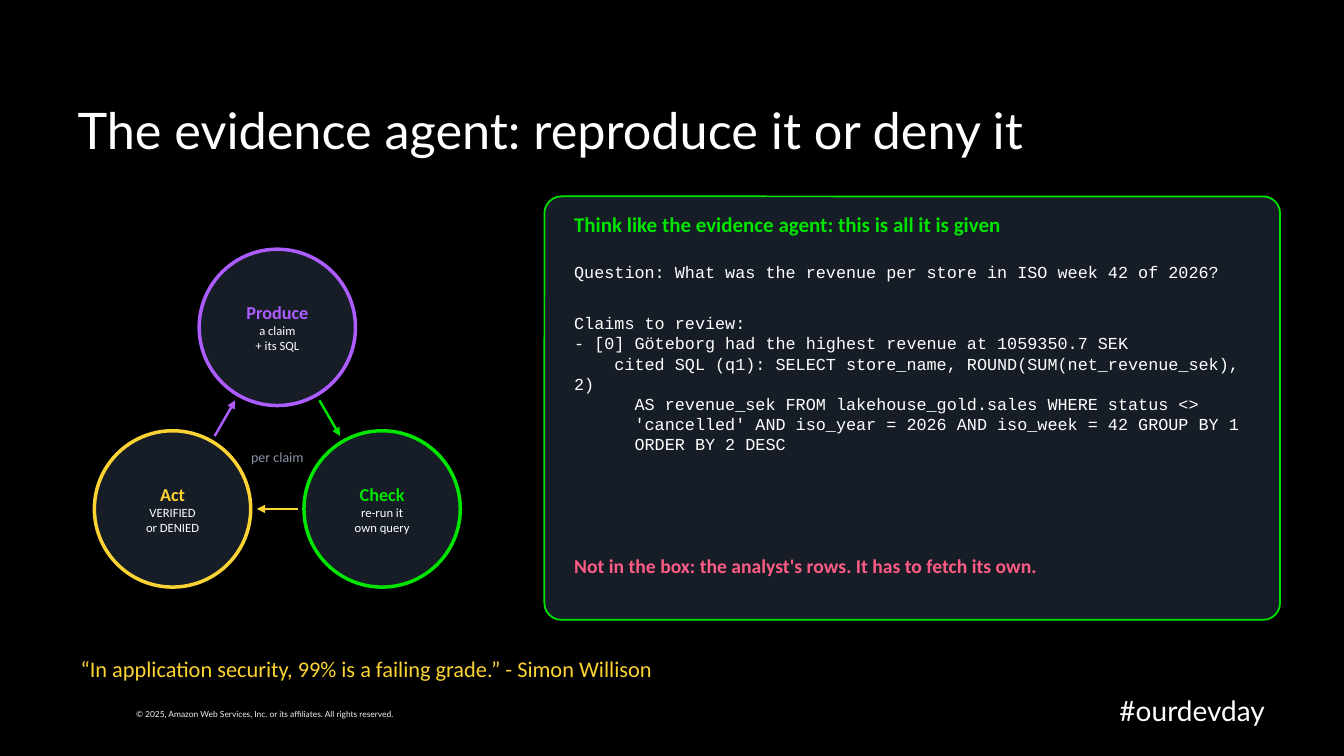
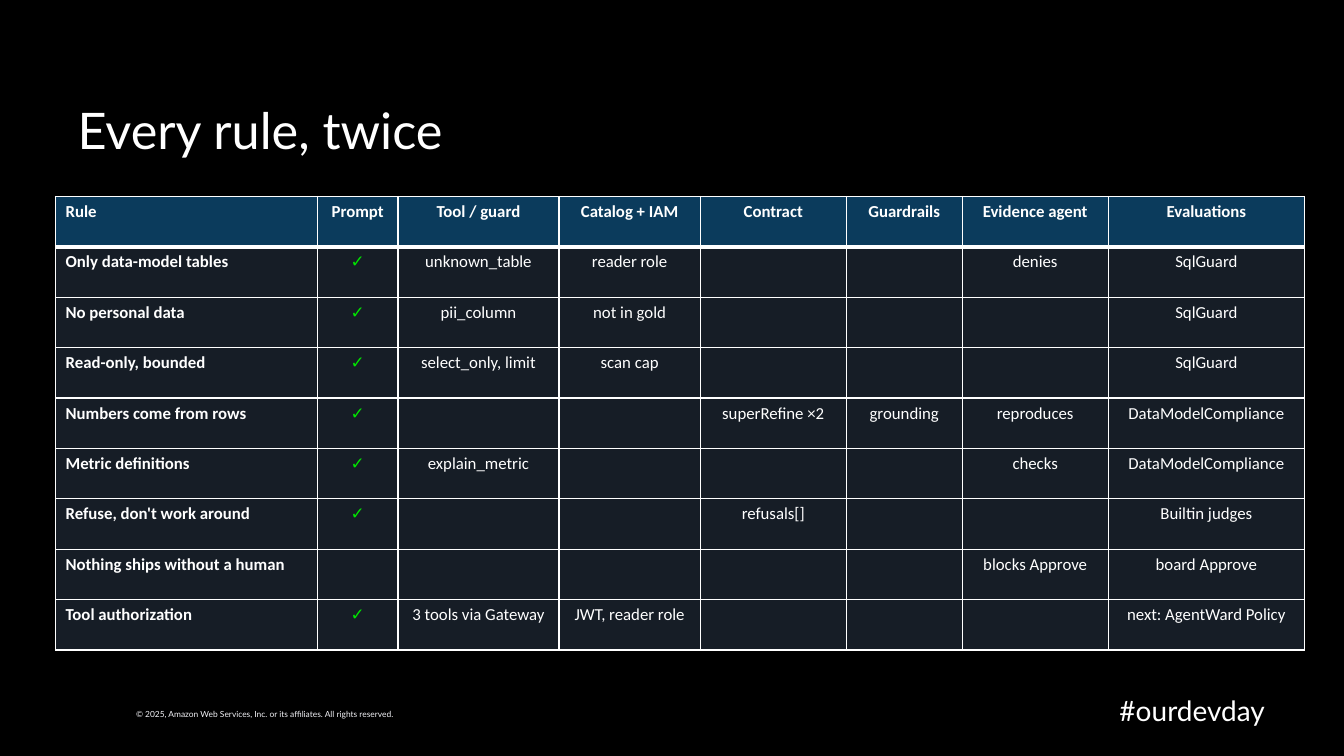
from dataclasses import dataclass
from math import cos, hypot, radians, sin

from lxml.etree import SubElement
from pptx import Presentation
from pptx.dml.color import RGBColor
from pptx.enum.shapes import MSO_CONNECTOR, MSO_SHAPE
from pptx.enum.text import MSO_ANCHOR as Anchor, MSO_AUTO_SIZE as AutoSize, PP_ALIGN as Align
from pptx.oxml.ns import qn
from pptx.presentation import Presentation as Deck
from pptx.shapes.autoshape import Shape
from pptx.slide import Slide
from pptx.table import _Cell as Cell
from pptx.text.text import TextFrame
from pptx.util import Cm, Pt

COLORS = {
    "black": "000000",
    "panel": "161D26",
    "header": "0B3B5C",
    "white": "FFFFFF",
    "pale": "F3F3F7",
    "gray": "8A94A6",
    "green": "00E500",
    "purple": "AD5CFF",
    "yellow": "FBD332",
    "pink": "FF5C85",
}
HEADING, BODY, CODE = "Lato", "Calibri", "Courier New"


@dataclass(frozen=True)
class Box:
    """Left, top, width and height in centimetres."""
    left: float
    top: float
    width: float
    height: float

    def lengths(self) -> tuple[Cm, Cm, Cm, Cm]:
        return Cm(self.left), Cm(self.top), Cm(self.width), Cm(self.height)


@dataclass(frozen=True)
class Step:
    name: str
    details: tuple[str, ...]
    color: str
    angle: float

    def center(self) -> tuple[float, float]:
        turn = radians(self.angle)
        return CYCLE_X + CYCLE_RADIUS * cos(turn), CYCLE_Y + CYCLE_RADIUS * sin(turn)


CYCLE_X, CYCLE_Y, CYCLE_RADIUS = 6.99, 11.3, 3.05
STEP_DIAMETER, ARROW_LENGTH = 3.94, 1.04
STEPS = (
    Step("Produce", ("a claim", "+ its SQL"), "purple", -90),
    Step("Check", ("re-run it", "own query"), "green", 30),
    Step("Act", ("VERIFIED", "or DENIED"), "yellow", 150),
)
ARROW_COLORS = ("green", "yellow", "purple")

CLAIM_LINES = (
    "Claims to review:",
    "- [0] Göteborg had the highest revenue at 1059350.7 SEK",
    "    cited SQL (q1): SELECT store_name, ROUND(SUM(net_revenue_sek), 2)",
    "      AS revenue_sek FROM lakehouse_gold.sales WHERE status <>",
    "      'cancelled' AND iso_year = 2026 AND iso_week = 42 GROUP BY 1",
    "      ORDER BY 2 DESC",
)

RULE_COLUMNS = (6.6, 2.03, 4.06, 3.56, 3.68, 2.92, 3.68, 4.95)
RULE_ROW_HEIGHT = 1.27
RULES = (
    ("Rule", "Prompt", "Tool / guard", "Catalog + IAM", "Contract", "Guardrails",
     "Evidence agent", "Evaluations"),
    ("Only data-model tables", "✓", "unknown_table", "reader role", "", "", "denies", "SqlGuard"),
    ("No personal data", "✓", "pii_column", "not in gold", "", "", "", "SqlGuard"),
    ("Read-only, bounded", "✓", "select_only, limit", "scan cap", "", "", "", "SqlGuard"),
    ("Numbers come from rows", "✓", "", "", "superRefine ×2", "grounding", "reproduces",
     "DataModelCompliance"),
    ("Metric definitions", "✓", "explain_metric", "", "", "", "checks", "DataModelCompliance"),
    ("Refuse, don't work around", "✓", "", "", "refusals[]", "", "", "Builtin judges"),
    ("Nothing ships without a human", "", "", "", "", "", "blocks Approve", "board Approve"),
    ("Tool authorization", "✓", "3 tools via Gateway", "JWT, reader role", "", "", "",
     "next: AgentWard Policy"),
)


def rgb(name: str) -> RGBColor:
    return RGBColor.from_string(COLORS[name])


def write(frame: TextFrame, text: str, *, size: float, color: str = "white", font: str = BODY,
          bold: bool = False, align: Align = Align.LEFT, spacing: float | None = None,
          before: float = 0) -> None:
    """Add one paragraph, using the empty first one if it is free."""
    paragraph = frame.add_paragraph() if frame.text else frame.paragraphs[0]
    paragraph.alignment = align
    if spacing:
        paragraph.line_spacing = spacing
    paragraph.space_before = Pt(before)
    run = paragraph.add_run()
    run.text = text
    run.font.name = font
    run.font.size = Pt(size)
    run.font.bold = bold
    run.font.color.rgb = rgb(color)


def add_text_frame(slide: Slide, box: Box) -> TextFrame:
    frame = slide.shapes.add_textbox(*box.lengths()).text_frame
    frame.word_wrap = True
    return frame


def add_outlined(slide: Slide, kind: MSO_SHAPE, box: Box, color: str, width: float) -> Shape:
    shape = slide.shapes.add_shape(kind, *box.lengths())
    shape.shadow.inherit = False
    shape.fill.solid()
    shape.fill.fore_color.rgb = rgb("panel")
    shape.line.color.rgb = rgb(color)
    shape.line.width = Pt(width)
    return shape


def add_titled_slide(deck: Deck, title: str) -> Slide:
    """Add a slide with its title and the shared footers."""
    slide = deck.slides.add_slide(deck.slide_layouts[5])
    heading = slide.shapes.title
    heading.left, heading.top, heading.width, heading.height = Box(1.7, 2.54, 30.48, 1.65).lengths()
    heading.text_frame.auto_size = AutoSize.NONE
    heading.text_frame.vertical_anchor = Anchor.MIDDLE
    write(heading.text_frame, title, size=36, font=HEADING, spacing=0.9)

    write(add_text_frame(slide, Box(3.18, 17.75, 7.34, 0.51)),
          "© 2025, Amazon Web Services, Inc. or its affiliates. All rights reserved.",
          size=6, color="pale", font=HEADING)
    write(add_text_frame(slide, Box(1.65, 17.45, 30.48, 1.02)), "#ourdevday",
          size=20, font=HEADING, align=Align.RIGHT, spacing=0.9)
    return slide


def add_step(slide: Slide, step: Step) -> None:
    x, y = step.center()
    box = Box(x - STEP_DIAMETER / 2, y - STEP_DIAMETER / 2, STEP_DIAMETER, STEP_DIAMETER)
    frame = add_outlined(slide, MSO_SHAPE.OVAL, box, step.color, 2.5).text_frame
    frame.margin_left = frame.margin_right = frame.margin_top = frame.margin_bottom = Cm(0.13)
    frame.vertical_anchor = Anchor.MIDDLE
    write(frame, step.name, size=13, color=step.color, bold=True, align=Align.CENTER)
    for detail in step.details:
        write(frame, detail, size=9, align=Align.CENTER)


def add_step_arrow(slide: Slide, source: Step, target: Step, color: str) -> None:
    """Draw a short arrow in the middle of the way between two steps."""
    (x1, y1), (x2, y2) = source.center(), target.center()
    middle_x, middle_y = (x1 + x2) / 2, (y1 + y2) / 2
    scale = ARROW_LENGTH / 2 / hypot(x2 - x1, y2 - y1)
    dx, dy = (x2 - x1) * scale, (y2 - y1) * scale
    arrow = slide.shapes.add_connector(MSO_CONNECTOR.STRAIGHT, Cm(middle_x - dx), Cm(middle_y - dy),
                                       Cm(middle_x + dx), Cm(middle_y + dy))
    arrow.line.color.rgb = rgb(color)
    arrow.line.width = Pt(1.75)
    SubElement(arrow.line._get_or_add_ln(), qn("a:tailEnd"), type="triangle")
    SubElement(arrow._element.spPr, qn("a:effectLst"))


def set_borders(cell: Cell, top: float, bottom: float) -> None:
    properties = cell._tc.get_or_add_tcPr()
    for side, width in (("L", 1), ("R", 1), ("T", top), ("B", bottom)):
        line = SubElement(properties, qn(f"a:ln{side}"), w=str(Pt(width)))
        fill = SubElement(line, qn("a:solidFill"))
        SubElement(fill, qn("a:srgbClr"), val=COLORS["white"])


def add_rules_table(slide: Slide) -> None:
    box = Box(1.4, 4.95, sum(RULE_COLUMNS), RULE_ROW_HEIGHT * len(RULES))
    table = slide.shapes.add_table(len(RULES), len(RULE_COLUMNS), *box.lengths()).table
    table.horz_banding = False
    for column, width in zip(table.columns, RULE_COLUMNS):
        column.width = Cm(width)
    for row, rule in enumerate(RULES):
        table.rows[row].height = Cm(RULE_ROW_HEIGHT)
        for column, text in enumerate(rule):
            cell = table.cell(row, column)
            set_borders(cell, top=3 if row == 1 else 1, bottom=3 if row == 0 else 1)
            cell.fill.solid()
            cell.fill.fore_color.rgb = rgb("panel" if row else "header")
            if text:
                write(cell.text_frame, text, size=12, bold=row == 0 or column == 0,
                      color="green" if text == "✓" else "white",
                      align=Align.CENTER if column else Align.LEFT)


def build_evidence_slide(deck: Deck) -> None:
    slide = add_titled_slide(deck, "The evidence agent: reproduce it or deny it")
    for step in STEPS:
        add_step(slide, step)
    for source, target, color in zip(STEPS, STEPS[1:] + STEPS[:1], ARROW_COLORS):
        add_step_arrow(slide, source, target, color)
    write(add_text_frame(slide, Box(4.45, 11.18, 5.08, 1.02)), "per claim",
          size=10, color="gray", align=Align.CENTER)

    panel = add_outlined(slide, MSO_SHAPE.ROUNDED_RECTANGLE, Box(13.72, 4.95, 18.54, 10.67),
                         "green", 1.25)
    panel.adjustments[0] = 0.04
    write(add_text_frame(slide, Box(14.22, 5.21, 17.53, 1.02)),
          "Think like the evidence agent: this is all it is given",
          size=15, color="green", bold=True)
    given = add_text_frame(slide, Box(14.22, 6.48, 17.53, 7.11))
    write(given, "Question: What was the revenue per store in ISO week 42 of 2026?",
          size=12, font=CODE)
    for index, line in enumerate(CLAIM_LINES):
        write(given, line, size=12, font=CODE, before=0 if index else 22)
    write(add_text_frame(slide, Box(14.22, 13.84, 17.53, 1.27)),
          "Not in the box: the analyst's rows. It has to fetch its own.",
          size=14, color="pink", bold=True)
    write(add_text_frame(slide, Box(1.78, 16.38, 30.48, 1.14)),
          "“In application security, 99% is a failing grade.” - Simon Willison",
          size=16, color="yellow")


def build_rules_slide(deck: Deck) -> None:
    add_rules_table(add_titled_slide(deck, "Every rule, twice"))


def main() -> None:
    deck = Presentation()
    deck.slide_width, deck.slide_height = Cm(33.87), Cm(19.05)
    background = deck.slide_master.background.fill
    background.solid()
    background.fore_color.rgb = rgb("black")
    build_evidence_slide(deck)
    build_rules_slide(deck)
    deck.save("out.pptx")


if __name__ == "__main__":
    main()
